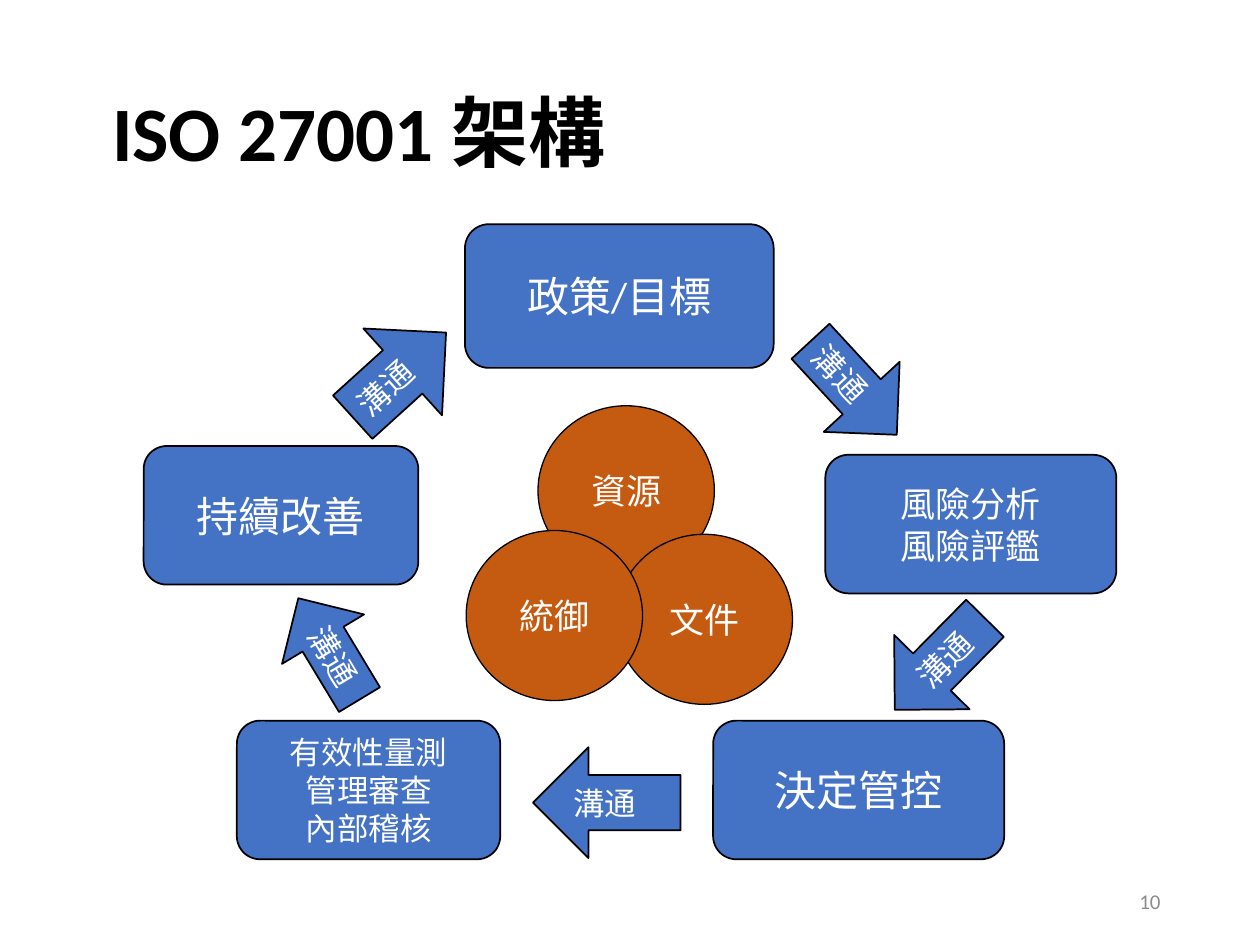
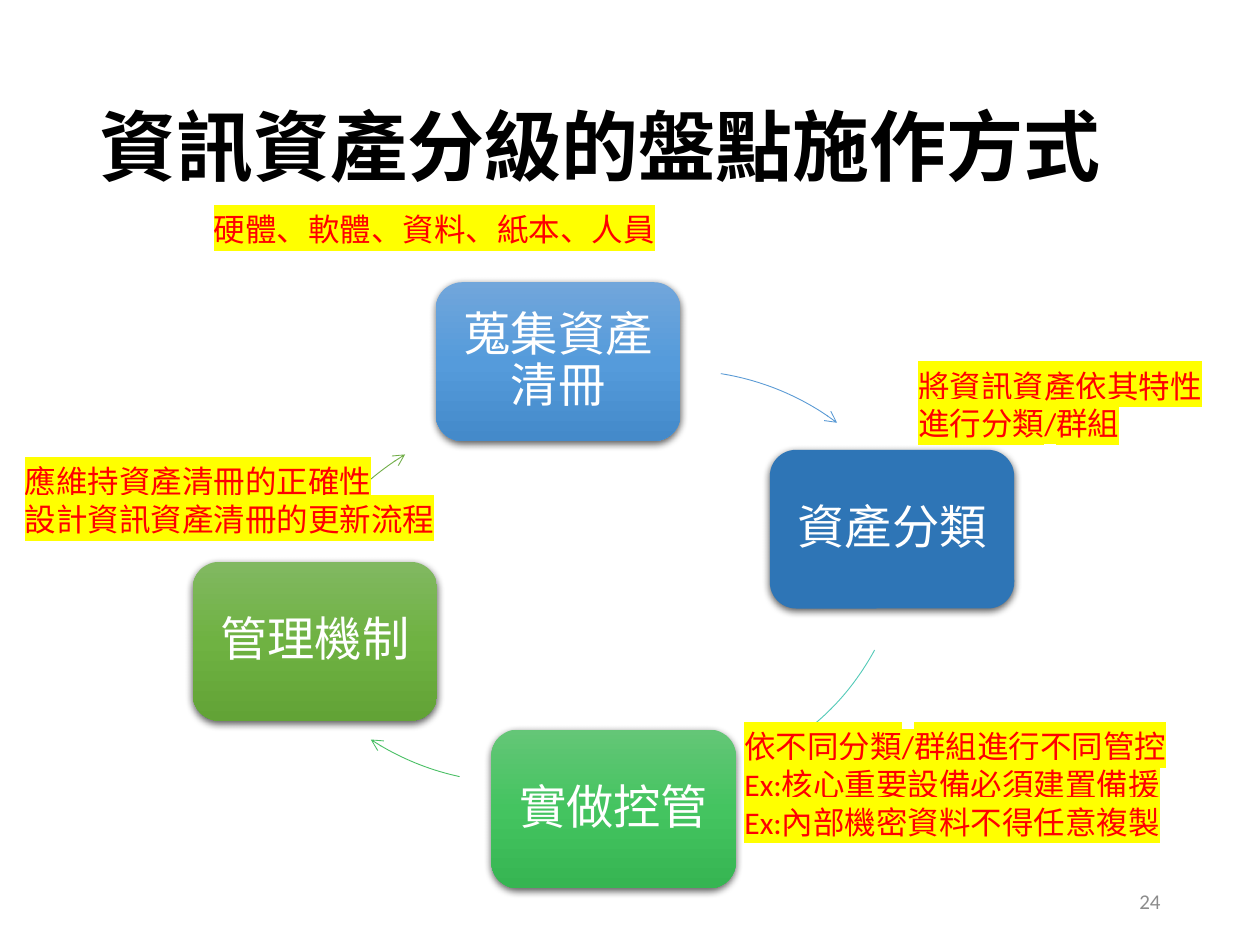
from copy import deepcopy
from dataclasses import dataclass

from lxml.etree import SubElement
from pptx import Presentation
from pptx.dml.color import RGBColor
from pptx.enum.shapes import MSO_SHAPE as Shape
from pptx.enum.text import MSO_ANCHOR as Anchor, MSO_AUTO_SIZE as AutoSize, PP_ALIGN as Align
from pptx.oxml.ns import qn
from pptx.util import Inches, Pt

COLUMNS, ROWS = 100, 75


@dataclass(frozen=True)
class Theme:
    font: str = "Calibri"
    ink: str = "000000"
    paper: str = "FFFFFF"
    muted: str = "8C8C8C"
    step: str = "4472C4"
    core: str = "C55A11"
    note: str = "FF0000"
    marker: str = "FFFF00"
    gather: tuple = ("71A6DB", "559BDB", "448ACA")
    classify: tuple = ("2E75B6",)
    control: tuple = ("64C677", "44C460", "36B552")
    manage: tuple = ("81B861", "6FB242", "62A336")
    arcs: tuple = ("5B9BD5", "52CAB8", "49BF64", "70AD47")
    title_size: int = 44
    node_size: int = 27
    large_size: int = 24
    medium_size: int = 20
    small_size: int = 18
    footer_size: int = 12


def write(frame, text, size, color, font, bold=False, align=Align.LEFT,
          anchor=Anchor.MIDDLE, spacing=None, highlight=None, inset=None):
    frame.word_wrap = True
    frame.auto_size = AutoSize.NONE
    frame.vertical_anchor = anchor
    if inset is not None:
        frame.margin_left = frame.margin_right = Inches(inset)
        frame.margin_top = frame.margin_bottom = Inches(inset)
    for index, line in enumerate(text.split("\n")):
        para = frame.add_paragraph() if index else frame.paragraphs[0]
        para.alignment = align
        if spacing:
            para.line_spacing = spacing
        span = para.add_run()
        span.text = line
        span.font.name = font
        span.font.size = Pt(size)
        span.font.bold = bold
        span.font.color.rgb = RGBColor.from_string(color)
        if highlight:
            properties = span.font._element
            mark = SubElement(properties, qn("a:highlight"))
            SubElement(mark, qn("a:srgbClr"), val=highlight)
            properties.find(qn("a:solidFill")).addnext(mark)


class SlideBuilder:
    def __init__(self, deck, theme):
        self.deck = deck
        self.theme = theme
        self.page = None
        self.column = deck.slide_width / COLUMNS
        self.row = deck.slide_height / ROWS

    def place(self, left, top, width, height):
        return (round(left * self.column), round(top * self.row),
                round(width * self.column), round(height * self.row))

    def start(self, title, left, top, number):
        theme = self.theme
        self.page = self.deck.slides.add_slide(self.deck.slide_layouts[5])
        heading = self.page.shapes.title
        heading.left, heading.top, heading.width, heading.height = self.place(left, top, 86.2, 14.5)
        write(heading.text_frame, title, theme.title_size, theme.ink, theme.font,
              bold=True, spacing=0.9)
        self.label(number, (70.6, 69.5, 22.5, 4), theme.footer_size, theme.muted, align=Align.RIGHT)

    def label(self, text, area, size, color, **style):
        box = self.page.shapes.add_textbox(*self.place(*area))
        write(box.text_frame, text, size, color, self.theme.font, **style)

    def note(self, text, area):
        theme = self.theme
        self.label(text, area, theme.small_size, theme.note,
                   anchor=Anchor.TOP, highlight=theme.marker)

    def shape(self, kind, area, fills=(), line=None, weight=1):
        box = self.page.shapes.add_shape(kind, *self.place(*area))
        box.shadow.inherit = False
        if len(fills) > 1:
            self.shade(box, fills)
        elif fills:
            box.fill.solid()
            box.fill.fore_color.rgb = RGBColor.from_string(fills[0])
        else:
            box.fill.background()
        if line:
            box.line.color.rgb = RGBColor.from_string(line)
            box.line.width = Pt(weight)
        else:
            box.line.fill.background()
        return box

    def shade(self, box, colors):
        box.fill.gradient()
        box.fill.gradient_angle = 270
        stops = box._element.spPr.find(".//" + qn("a:gsLst"))
        while len(stops) < len(colors):
            stops.append(deepcopy(stops[0]))
        for index, stop in enumerate(box.fill.gradient_stops):
            stop.position = index / (len(colors) - 1)
            stop.color.rgb = RGBColor.from_string(colors[index])

    def step(self, text, area, size):
        theme = self.theme
        box = self.shape(Shape.ROUNDED_RECTANGLE, area, (theme.step,), theme.ink)
        write(box.text_frame, text, size, theme.paper, theme.font, align=Align.CENTER)

    def arrow(self, text, area, angle, flipped):
        theme = self.theme
        box = self.shape(Shape.RIGHT_ARROW, area, (theme.step,), theme.ink)
        box.rotation = angle
        if flipped:
            box._element.spPr.find(qn("a:xfrm")).set("flipV", "1")
        write(box.text_frame, text, theme.small_size, theme.paper, theme.font)

    def circle(self, text, left, top):
        theme = self.theme
        box = self.shape(Shape.OVAL, (left, top, 14, 13.5), (theme.core,), theme.ink, 0.75)
        write(box.text_frame, text, theme.medium_size, theme.paper, theme.font, align=Align.CENTER)

    def node(self, text, left, top, fills):
        theme = self.theme
        box = self.shape(Shape.ROUNDED_RECTANGLE, (left, top, 19.4, 12.6), fills)
        effects = box._element.spPr.find(qn("a:effectLst"))
        shadow = SubElement(effects, qn("a:outerShdw"), blurRad=str(Pt(4.5)),
                            dist=str(Pt(1.5)), dir="5400000", algn="ctr", rotWithShape="0")
        color = SubElement(shadow, qn("a:srgbClr"), val=theme.ink)
        SubElement(color, qn("a:alpha"), val="63000")
        write(box.text_frame, text, theme.node_size, theme.paper, theme.font,
              align=Align.CENTER, spacing=0.9, inset=0.11)

    def arc(self, left, top, start, end, color):
        curve = self.shape(Shape.ARC, (left, top, 41.7, 41.7), line=color, weight=0.5)
        for index, angle in enumerate((start, end)):
            curve.adjustments[index] = angle * 0.6
        SubElement(curve.line._get_or_add_ln(), qn("a:tailEnd"), type="arrow")


def build_framework(builder):
    theme = builder.theme
    builder.start("ISO 27001 架構", 7.9, 3.6, "10")
    for text, area, size in (
        ("政策/目標", (36.9, 17.8, 24.5, 11.4), theme.large_size),
        ("持續改善", (11.4, 35.4, 21.8, 11), theme.large_size),
        ("有效性量測\n管理審查\n內部稽核", (18.8, 57.2, 20.9, 11), theme.small_size),
        ("決定管控", (56.6, 57.2, 23.1, 11), theme.large_size),
        ("風險分析\n風險評鑑", (65.5, 36.1, 23.1, 11), theme.medium_size),
    ):
        builder.step(text, area, size)
    for area, angle, flipped in (
        ((26.7, 25.1, 10, 9.3), 317.8, False),
        ((42.3, 59.3, 11.7, 8.8), 180, True),
        ((69.5, 48.5, 10.2, 8.4), 134.6, True),
        ((62.7, 26.7, 10.1, 8.2), 47.3, False),
        ((21.4, 47.7, 9.4, 7.6), 238.9, True),
    ):
        builder.arrow("溝通", area, angle, flipped)
    for text, left, top in (("資源", 42.7, 32.2), ("文件", 48.9, 42.4), ("統御", 37, 42.1)):
        builder.circle(text, left, top)


def build_inventory(builder):
    theme = builder.theme
    builder.start("資訊資產分級的盤點施作方式", 6.9, 4.7, "24")
    nodes = (
        ("蒐集資產清冊", 34.6, 22.4, theme.gather),
        ("資產分類", 61.1, 35.7, theme.classify),
        ("實做控管", 39, 57.9, theme.control),
        ("管理機制", 15.3, 44.6, theme.manage),
    )
    arcs = (
        (33.1, 29.4, 279, 306.8),
        (30.3, 20.7, 28.8, 59.8),
        (20, 20.4, 102.1, 123.2),
        (22.2, 33, 214.3, 238.5),
    )
    for node, arc, color in zip(nodes, arcs, theme.arcs):
        builder.node(*node)
        builder.arc(*arc, color)
    for text, area in (
        ("硬體、軟體、資料、紙本、人員", (16, 16.2, 37.4, 4)),
        ("將資訊資產依其特性\n進行分類/群組", (71.9, 28.6, 26.7, 7.1)),
        ("依不同分類/群組進行不同管控\nEx:核心重要設備必須建置備援\nEx:內部機密資料不得任意複製",
         (58.1, 57.2, 38.3, 10.1)),
        ("應維持資產清冊的正確性\n設計資訊資產清冊的更新流程", (1, 36.2, 37.4, 7.1)),
    ):
        builder.note(text, area)


def main():
    deck = Presentation()
    deck.slide_width, deck.slide_height = Inches(10), Inches(7.5)
    builder = SlideBuilder(deck, Theme())
    build_framework(builder)
    build_inventory(builder)
    deck.save("out.pptx")


if __name__ == "__main__":
    main()
